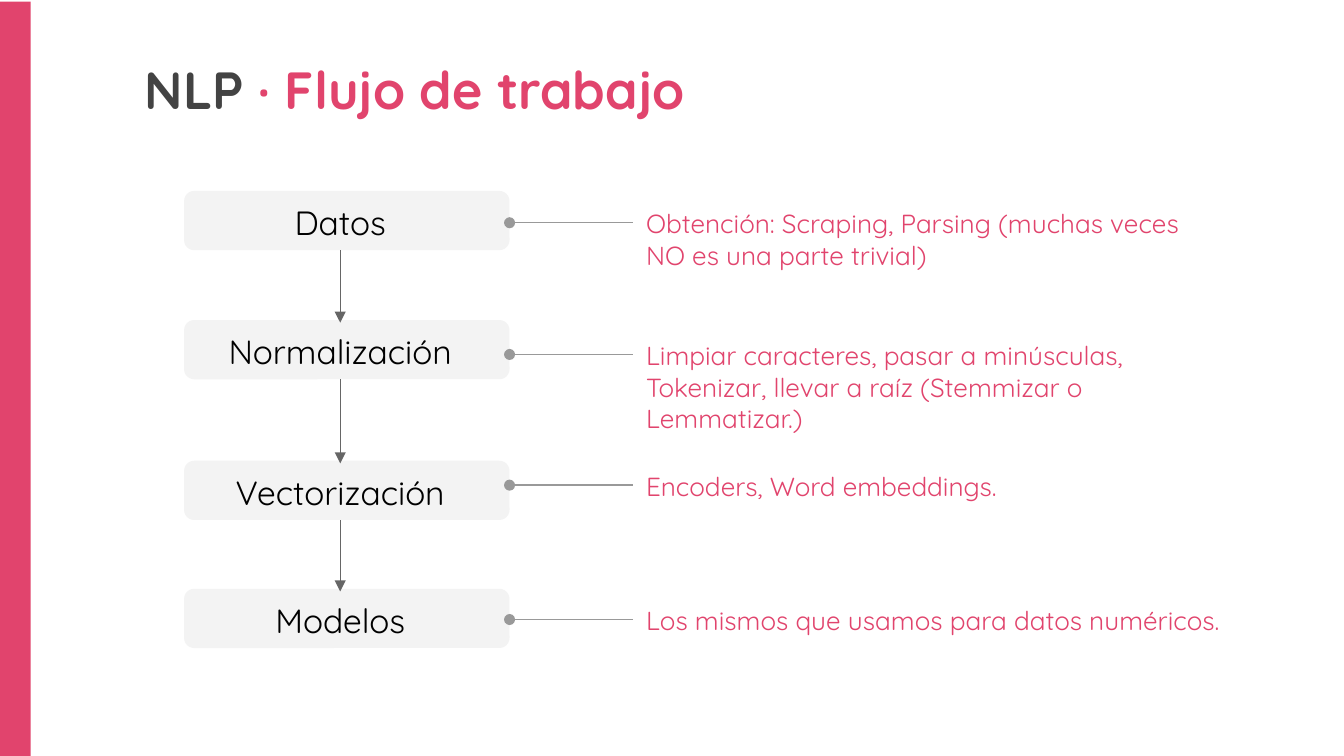
from dataclasses import dataclass

import pptx
import pptx.dml.color
import pptx.enum.shapes
import pptx.enum.text
import pptx.oxml.ns
import pptx.oxml.xmlchemy
import pptx.util
from pptx.util import Cm

PINK = "E1446D"
CHARCOAL = "434343"
BLACK = "000000"
PALE_GREY = "F3F3F3"
ARROW_GREY = "666666"
LINK_GREY = "999999"
FONT = "Quicksand"

STEP_LEFT, STEP_WIDTH, STEP_HEIGHT = 3.48, 6.15, 1.12
LABEL_LEFT, LABEL_WIDTH, LABEL_HEIGHT = 2.81, 7.24, 1.07
LABEL_DROP = 0.05
FLOW_X = LABEL_LEFT + LABEL_WIDTH / 2
NOTE_LEFT, NOTE_WIDTH = 11.96, 11.4
LINK_DROP = 0.53


@dataclass(frozen=True)
class Step:
    name: str
    top: float
    note: str
    note_top: float


STEPS = [
    Step("Datos", 3.61,
         "Obtención: Scraping, Parsing (muchas veces NO es una parte trivial)", 3.68),
    Step("Normalización", 6.05,
         "Limpiar caracteres, pasar a minúsculas, Tokenizar, llevar a raíz "
         "(Stemmizar o Lemmatizar.)", 6.17),
    Step("Vectorización", 8.71, "Encoders, Word embeddings.", 8.64),
    Step("Modelos", 11.13, "Los mismos que usamos para datos numéricos.", 11.18),
]


def color(value: str) -> pptx.dml.color.RGBColor:
    return pptx.dml.color.RGBColor.from_string(value)


def add_block(slide, kind, left: float, top: float, width: float, height: float, fill: str):
    block = slide.shapes.add_shape(kind, Cm(left), Cm(top), Cm(width), Cm(height))
    block.shadow.inherit = False
    block.fill.solid()
    block.fill.fore_color.rgb = color(fill)
    block.line.fill.background()
    return block


def format_run(run, size: float, ink: str, bold: bool = False) -> None:
    run.font.name = FONT
    run.font.size = pptx.util.Pt(size)
    run.font.bold = bold
    run.font.color.rgb = color(ink)


def add_text(slide, text: str, left: float, top: float, width: float, height: float,
             size: float, ink: str, centred: bool = False, bold: bool = False):
    box = slide.shapes.add_textbox(Cm(left), Cm(top), Cm(width), Cm(height))
    frame = box.text_frame
    frame.word_wrap = True
    frame.margin_left = frame.margin_right = Cm(0.25)
    frame.margin_top = frame.margin_bottom = Cm(0.25)
    frame.text = text
    paragraph = frame.paragraphs[0]
    if centred:
        frame.vertical_anchor = pptx.enum.text.MSO_ANCHOR.MIDDLE
        paragraph.alignment = pptx.enum.text.PP_ALIGN.CENTER
    format_run(paragraph.runs[0], size, ink, bold)
    return paragraph


def add_line(slide, x1: float, y1: float, x2: float, y2: float,
             ink: str, end: str, end_type: str) -> None:
    line = slide.shapes.add_connector(
        pptx.enum.shapes.MSO_CONNECTOR.STRAIGHT, Cm(x1), Cm(y1), Cm(x2), Cm(y2))
    line.line.color.rgb = color(ink)
    line.line.width = pptx.util.Pt(0.75)
    properties = line._element.spPr
    tip = pptx.oxml.xmlchemy.OxmlElement(end)
    tip.set("type", end_type)
    properties.find(pptx.oxml.ns.qn("a:ln")).append(tip)
    properties.append(pptx.oxml.xmlchemy.OxmlElement("a:effectLst"))


def add_step(slide, step: Step) -> None:
    block = add_block(slide, pptx.enum.shapes.MSO_SHAPE.ROUNDED_RECTANGLE,
                      STEP_LEFT, step.top, STEP_WIDTH, STEP_HEIGHT, PALE_GREY)
    block.adjustments[0] = 0.17
    add_text(slide, step.name, LABEL_LEFT, step.top + LABEL_DROP,
             LABEL_WIDTH, LABEL_HEIGHT, 18, BLACK, centred=True)
    add_text(slide, step.note, NOTE_LEFT, step.note_top,
             NOTE_WIDTH, LABEL_HEIGHT, 14, PINK)
    link_y = step.note_top + LINK_DROP
    add_line(slide, STEP_LEFT + STEP_WIDTH, link_y, NOTE_LEFT, link_y,
             LINK_GREY, "a:headEnd", "oval")


def main() -> None:
    deck = pptx.Presentation()
    deck.slide_width, deck.slide_height = Cm(25.4), Cm(14.29)
    slide = deck.slides.add_slide(deck.slide_layouts[6])

    add_block(slide, pptx.enum.shapes.MSO_SHAPE.RECTANGLE, 0, 0.03, 0.58, 14.26, PINK)
    title = add_text(slide, "NLP ", 2.49, 0.84, 20.37, 1.63, 28, CHARCOAL, bold=True)
    topic = title.add_run()
    topic.text = "· Flujo de trabajo"
    format_run(topic, 28, PINK, bold=True)

    for step in STEPS:
        add_step(slide, step)
    for step, following in zip(STEPS, STEPS[1:]):
        add_line(slide, FLOW_X, step.top + STEP_HEIGHT, FLOW_X, following.top + LABEL_DROP,
                 ARROW_GREY, "a:tailEnd", "triangle")

    deck.save("out.pptx")


if __name__ == "__main__":
    main()
